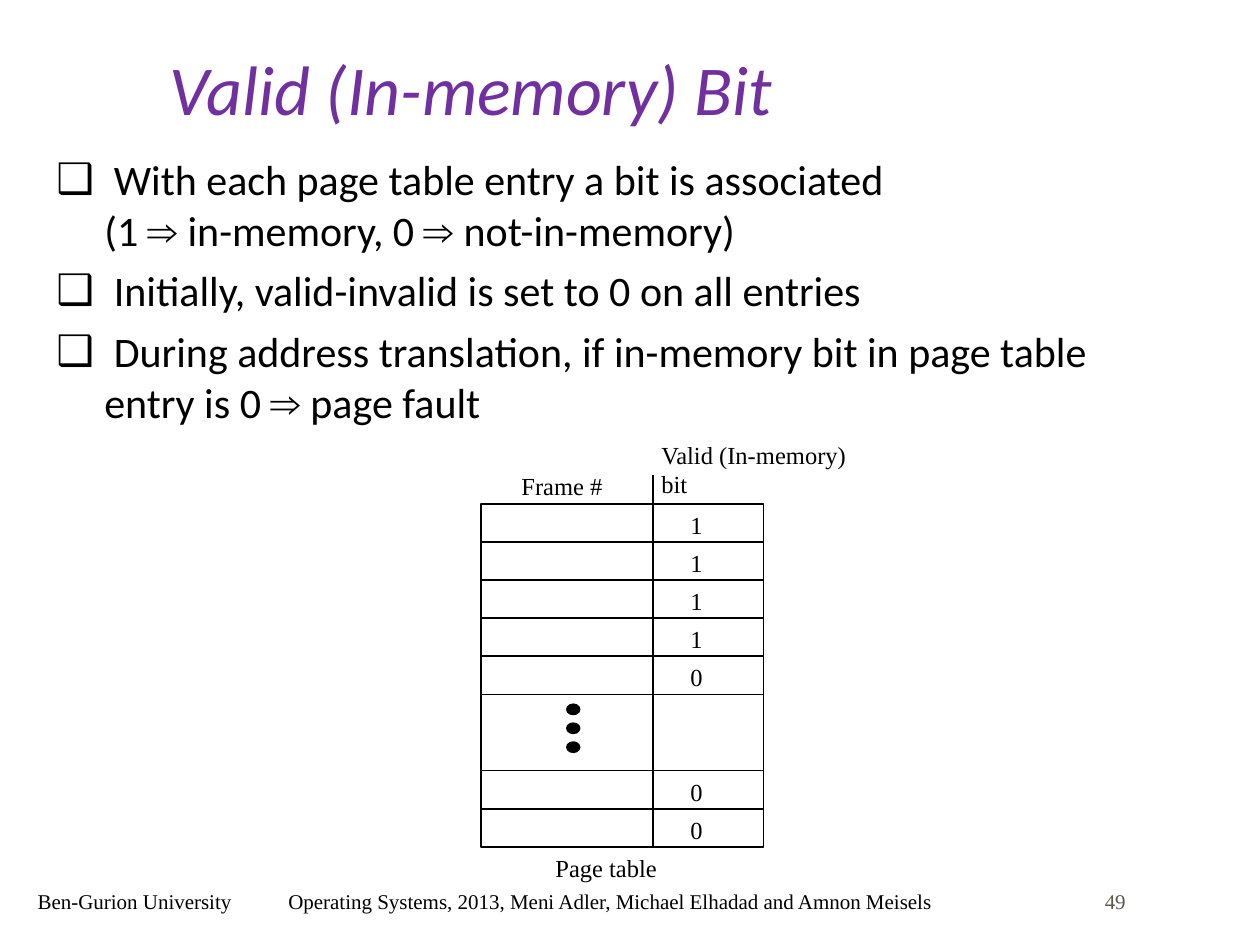
from dataclasses import dataclass

from lxml import etree
from pptx import Presentation
from pptx import util as u
from pptx.dml.color import RGBColor
from pptx.enum import shapes, text
from pptx.oxml.ns import qn


@dataclass(frozen=True)
class Theme:
    ink: str = "000000"
    title: str = "7030A0"
    muted: str = "5E574E"
    sans: str = "Calibri"
    serif: str = "Times New Roman"
    symbol: str = "Arial"
    title_size: int = 40
    body_size: int = 24
    label_size: int = 14
    footer_size: int = 12
    line_width: float = 1


@dataclass(frozen=True)
class Box:
    left: float
    top: float
    width: float
    height: float

    def lengths(self) -> tuple:
        return tuple(u.Inches(n) for n in (self.left, self.top, self.width, self.height))


@dataclass(frozen=True)
class Label:
    words: str
    box: Box
    size: int
    color: str = Theme.ink


THEME = Theme()
TABLE = Box(3.82, 4, 2.24, 2.72)
ROW_COUNT = 9
ROW_HEIGHT = TABLE.height / ROW_COUNT
DIVIDER_X = 5.18
DIVIDER_TOP = 3.77
ROW_BITS = {0: "1", 1: "1", 2: "1", 3: "1", 4: "0", 7: "0", 8: "0"}
ROW_LINES = (1, 2, 3, 4, 5, 7, 8)
DOT_TOP, DOT_STEP = 5.59, 0.15

BULLETS = (
    " With each page table entry a bit is associated \n(1 ⇒ in-memory, 0 ⇒ not-in-memory)",
    " Initially, valid-invalid is set to 0 on all entries",
    " During address translation, if in-memory bit in page table entry is 0 ⇒ page fault",
)
LABELS = (
    Label("Frame #", Box(4.04, 3.69, 1.24, 0.34), THEME.label_size),
    Label("Page table", Box(4.31, 6.72, 1.46, 0.34), THEME.label_size),
    Label("Valid (In-memory)\nbit", Box(5.15, 3.44, 2.29, 0.57), THEME.label_size),
    Label("49", Box(8.67, 7, 0.74, 0.5), THEME.footer_size, THEME.muted),
)


def add_frame(slide, box: Box):
    frame = slide.shapes.add_textbox(*box.lengths()).text_frame
    frame.word_wrap = True
    return frame


def add_run(paragraph, words: str, font: str, size: int, color: str = THEME.ink):
    run = paragraph.add_run()
    run.text = words
    run.font.name = font
    run.font.size = u.Pt(size)
    run.font.color.rgb = RGBColor.from_string(color)
    return run


def add_label(slide, label: Label):
    paragraph = add_frame(slide, label.box).paragraphs[0]
    for index, line in enumerate(label.words.split("\n")):
        if index:
            paragraph.add_line_break()
        add_run(paragraph, line, THEME.serif, label.size, label.color)
    return paragraph


def add_line(slide, left: float, top: float, right: float, bottom: float) -> None:
    ends = (u.Inches(n) for n in (left, top, right, bottom))
    line = slide.shapes.add_connector(shapes.MSO_CONNECTOR.STRAIGHT, *ends)
    line.line.color.rgb = RGBColor.from_string(THEME.ink)
    line.line.width = u.Pt(THEME.line_width)
    etree.SubElement(line._element.spPr, qn("a:effectLst"))


def add_outline(slide, kind: shapes.MSO_SHAPE, box: Box, filled: bool) -> None:
    shape = slide.shapes.add_shape(kind, *box.lengths())
    shape.shadow.inherit = False
    if filled:
        shape.fill.solid()
        shape.fill.fore_color.rgb = RGBColor.from_string(THEME.ink)
    else:
        shape.fill.background()
    shape.line.color.rgb = RGBColor.from_string(THEME.ink)
    shape.line.width = u.Pt(THEME.line_width)


def set_bullet(paragraph) -> None:
    properties = paragraph._p.get_or_add_pPr()
    properties.set("marL", str(u.Inches(0.38)))
    properties.set("indent", str(u.Inches(-0.38)))
    color = etree.SubElement(properties, qn("a:buClr"))
    etree.SubElement(color, qn("a:srgbClr"), val=THEME.ink)
    etree.SubElement(properties, qn("a:buFont"), typeface=THEME.symbol)
    etree.SubElement(properties, qn("a:buChar"), char="❑")


def add_title(slide) -> None:
    frame = add_frame(slide, Box(1.25, 0.5, 7.5, 0.58))
    frame.vertical_anchor = text.MSO_ANCHOR.BOTTOM
    run = add_run(frame.paragraphs[0], "Valid (In-memory) Bit",
                  THEME.sans, THEME.title_size, THEME.title)
    run.font.italic = True


def add_bullets(slide) -> None:
    frame = add_frame(slide, Box(0.35, 1.17, 8.86, 2.35))
    for index, bullet in enumerate(BULLETS):
        paragraph = frame.paragraphs[0] if index == 0 else frame.add_paragraph()
        set_bullet(paragraph)
        if index:
            paragraph.space_before = u.Pt(6)
        for line_index, line in enumerate(bullet.split("\n")):
            if line_index:
                paragraph.add_line_break()
            for part_index, part in enumerate(line.split("⇒")):
                if part_index:
                    add_run(paragraph, "⇒", THEME.symbol, THEME.body_size)
                add_run(paragraph, part, THEME.sans, THEME.body_size)


def add_page_table(slide) -> None:
    right, bottom = TABLE.left + TABLE.width, TABLE.top + TABLE.height
    add_line(slide, DIVIDER_X, DIVIDER_TOP, DIVIDER_X, bottom)
    add_outline(slide, shapes.MSO_SHAPE.RECTANGLE, TABLE, False)
    for row in ROW_LINES:
        row_top = TABLE.top + row * ROW_HEIGHT
        add_line(slide, TABLE.left, row_top, right, row_top)
    for row, bit in ROW_BITS.items():
        box = Box(5.38, TABLE.top + row * ROW_HEIGHT, 0.29, 0.34)
        add_label(slide, Label(bit, box, THEME.label_size))
    for dot in range(3):
        box = Box(4.5, DOT_TOP + dot * DOT_STEP, 0.1, 0.08)
        add_outline(slide, shapes.MSO_SHAPE.FLOWCHART_CONNECTOR, box, True)


def add_footer(slide) -> None:
    words = ("Ben-Gurion University\tOperating Systems, 2013, "
             "Meni Adler, Michael Elhadad and Amnon Meisels")
    paragraph = add_label(slide, Label(words, Box(0.2, 7, 8.27, 0.5), THEME.footer_size))
    tabs = etree.SubElement(paragraph._p.get_or_add_pPr(), qn("a:tabLst"))
    etree.SubElement(tabs, qn("a:tab"), pos=str(u.Inches(1.99)), algn="l")


def main() -> None:
    presentation = Presentation()
    presentation.slide_width = u.Inches(10)
    presentation.slide_height = u.Inches(7.5)
    slide = presentation.slides.add_slide(presentation.slide_layouts[6])
    add_footer(slide)
    add_title(slide)
    add_bullets(slide)
    add_page_table(slide)
    for label in LABELS:
        add_label(slide, label)
    presentation.save("out.pptx")


if __name__ == "__main__":
    main()
